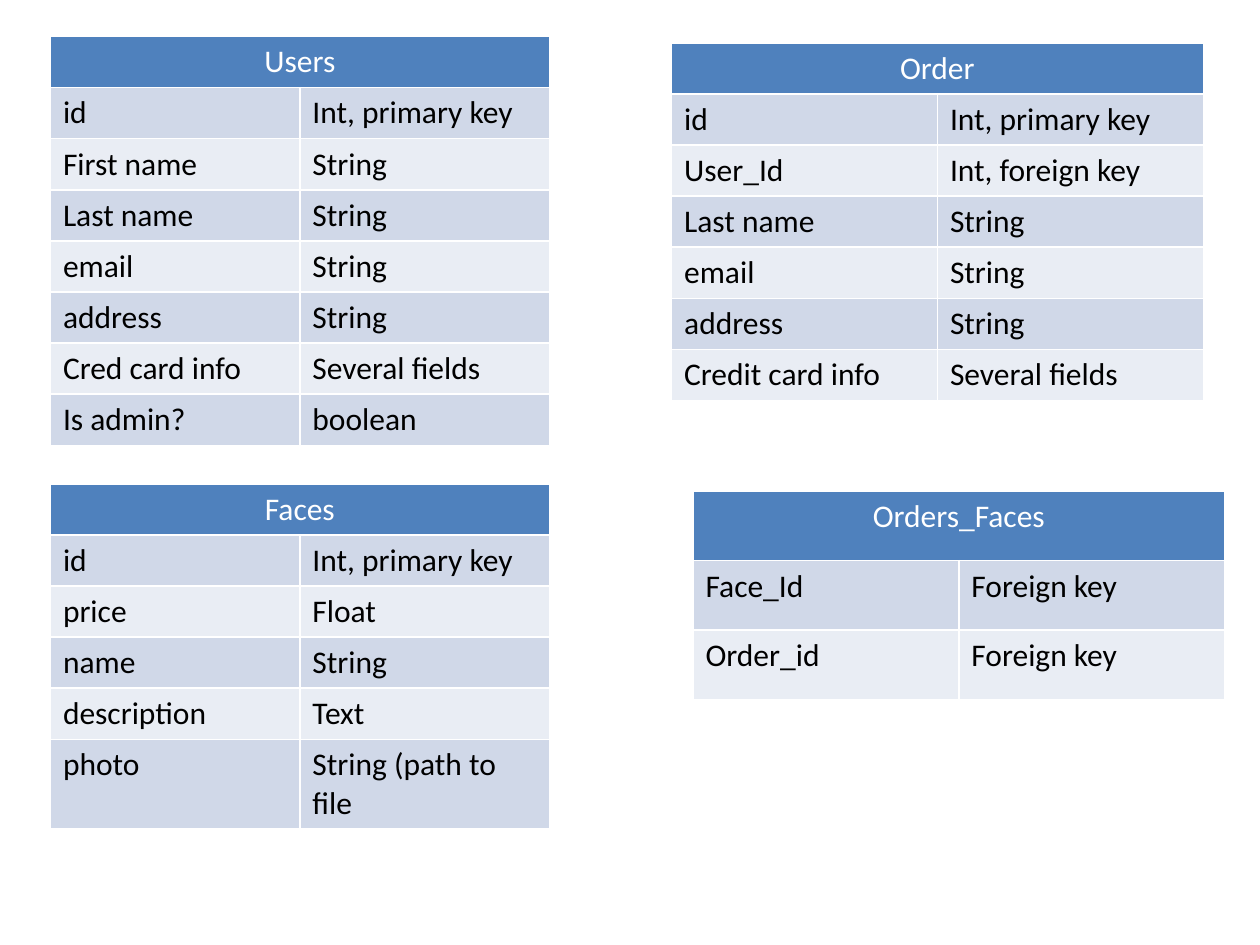
from pptx import Presentation
from pptx.dml.color import RGBColor
from pptx.enum.text import PP_ALIGN
from pptx.util import Inches, Pt

CENTER, LEFT = PP_ALIGN.CENTER, PP_ALIGN.LEFT


def color(hex_code):
    return RGBColor.from_string(hex_code)


class SchemaSlide:
    FONT, SIZE = "Calibri", 18
    HEADER, BANDS = "4F81BD", ("D0D8E8", "E9EDF4")
    LIGHT, DARK = "FFFFFF", "000000"

    def __init__(self, deck):
        self.slide = deck.slides.add_slide(deck.slide_layouts[6])

    def fill_cell(self, cell, text, fill, ink, align=LEFT):
        cell.fill.solid()
        cell.fill.fore_color.rgb = color(fill)
        paragraph = cell.text_frame.paragraphs[0]
        paragraph.alignment = align
        run = paragraph.add_run()
        run.text = text
        run.font.name = self.FONT
        run.font.size = Pt(self.SIZE)
        run.font.bold = False
        run.font.color.rgb = color(ink)

    def entity(self, name, fields, left, top, width, height, row_height):
        frame = self.slide.shapes.add_table(
            len(fields) + 1, 2, Inches(left), Inches(top), Inches(width), Inches(height))
        table = frame.table
        for row in table.rows:
            row.height = Inches(row_height)
        frame.height = Inches(height)

        # Header across both columns
        title = table.cell(0, 0)
        title.merge(table.cell(0, 1))
        self.fill_cell(title, name, self.HEADER, self.LIGHT, CENTER)

        # Banded field rows
        for row, field in enumerate(fields, 1):
            band = self.BANDS[(row - 1) % 2]
            for column, text in enumerate(field):
                self.fill_cell(table.cell(row, column), text, band, self.DARK)


deck = Presentation()
deck.slide_width, deck.slide_height = Inches(10), Inches(7.5)
schema = SchemaSlide(deck)

# Fields shared by several entities
primary_id = ("id", "Int, primary key")
contact = [(field, "String") for field in ("Last name", "email", "address")]

faces = [primary_id, ("price", "Float"), ("name", "String"),
         ("description", "Text"), ("photo", "String (path to file")]
users = [primary_id, ("First name", "String"), *contact,
         ("Cred card info", "Several fields"), ("Is admin?", "boolean")]
order = [primary_id, ("User_Id", "Int, foreign key"), *contact,
         ("Credit card info", "Several fields")]
orders_faces = [(field, "Foreign key") for field in ("Face_Id", "Order_id")]

# Left column
schema.entity("Faces", faces, 0.4, 3.84, 3.96, 2.7, 0.35)
schema.entity("Users", users, 0.4, 0.29, 3.96, 3.2, 0.35)

# Right column
schema.entity("Order", order, 5.33, 0.34, 4.22, 2.8, 0.38)
schema.entity("Orders_Faces", orders_faces, 5.5, 3.9, 4.22, 1.64, 0.55)

deck.save("out.pptx")
